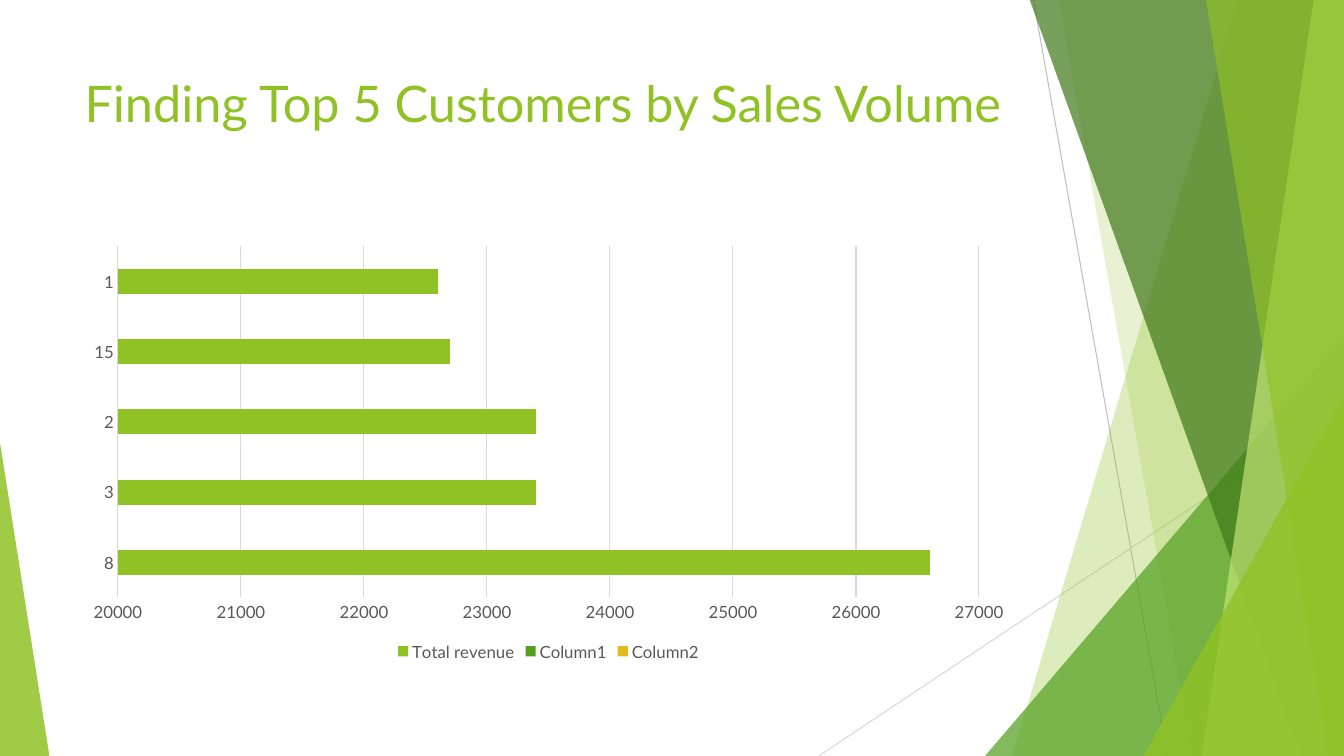
from dataclasses import dataclass

from lxml.etree import SubElement
from pptx import Presentation
from pptx.chart.data import CategoryChartData
from pptx.dml.color import RGBColor
from pptx.enum.chart import XL_CHART_TYPE, XL_LEGEND_POSITION, XL_TICK_MARK
from pptx.enum.shapes import MSO_CONNECTOR, MSO_SHAPE
from pptx.enum.text import MSO_ANCHOR
from pptx.oxml.ns import qn
from pptx.util import Inches, Pt


@dataclass(frozen=True)
class Theme:
    font: str = "Lato"
    lime: str = "90C226"
    green: str = "54A021"
    dark_green: str = "3F7819"
    pale_lime: str = "C0E474"
    gold: str = "E6B91E"
    label: str = "595959"
    grid: str = "D9D9D9"
    ray: str = "BFBFBF"
    title_size: float = 36
    label_size: float = 12
    hairline: float = 0.75


THEME = Theme()
WIDTH, HEIGHT = 13.33, 7.5
TOP = -0.01


def color(value):
    return RGBColor.from_string(value)


def style_shape(shape, fill, opacity):
    """Apply a translucent fill with no outline or shadow."""
    shape.shadow.inherit = False
    shape.fill.solid()
    shape.fill.fore_color.rgb = color(fill)
    shape.line.fill.background()
    solid_color = shape.fill._xPr.find(qn("a:solidFill"))[0]
    SubElement(solid_color, qn("a:alpha"), val=str(opacity * 1000))


def add_ray(slide, start, end, line_color):
    ray = slide.shapes.add_connector(
        MSO_CONNECTOR.STRAIGHT, *(Inches(value) for value in start + end))
    ray.line.color.rgb = color(line_color)
    ray.line.width = Pt(THEME.hairline)
    SubElement(ray._element.spPr, qn("a:effectLst"))


def add_band(slide, top_left, bottom_left, fill, opacity):
    """Draw a full-height band that reaches the right slide edge."""
    corners = [(top_left, TOP), (WIDTH, TOP), (WIDTH, HEIGHT), (bottom_left, HEIGHT)]
    points = [(Inches(x), Inches(y)) for x, y in corners]
    builder = slide.shapes.build_freeform(*points[0])
    builder.add_line_segments(points[1:], close=True)
    style_shape(builder.convert_to_shape(), fill, opacity)


def add_corner(slide, left, top, width, apex, fill, opacity):
    """Draw a triangle standing on the bottom slide edge."""
    triangle = slide.shapes.add_shape(
        MSO_SHAPE.ISOSCELES_TRIANGLE, Inches(left), Inches(top),
        Inches(width), Inches(HEIGHT - top))
    triangle.adjustments[0] = apex
    style_shape(triangle, fill, opacity)


def format_font(font, size, font_color):
    font.name = THEME.font
    font.size = Pt(size)
    font.bold = False
    font.color.rgb = color(font_color)


def add_text(slide, text, *, left, top, width, height, size, font_color):
    box = slide.shapes.add_textbox(
        Inches(left), Inches(top), Inches(width), Inches(height))
    frame = box.text_frame
    frame.word_wrap = True
    frame.vertical_anchor = MSO_ANCHOR.TOP
    run = frame.paragraphs[0].add_run()
    run.text = text
    format_font(run.font, size, font_color)


def format_line(line, line_color):
    line.color.rgb = color(line_color)
    line.width = Pt(THEME.hairline)


def add_revenue_chart(slide, categories, series, *, left, top, width, height):
    data = CategoryChartData()
    data.categories = categories
    for name, values, _ in series:
        data.add_series(name, values)
    chart = slide.shapes.add_chart(
        XL_CHART_TYPE.BAR_STACKED, Inches(left), Inches(top),
        Inches(width), Inches(height), data).chart
    chart.has_title = False
    format_font(chart.font, THEME.label_size, THEME.label)

    # Bars
    plot = chart.plots[0]
    plot.gap_width = 182
    plot.overlap = 100
    plot.vary_by_categories = False
    for bars, (_, _, fill) in zip(plot.series, series):
        bars.invert_if_negative = False
        bars.format.fill.solid()
        bars.format.fill.fore_color.rgb = color(fill)

    # Axes
    for axis in (chart.category_axis, chart.value_axis):
        axis.major_tick_mark = XL_TICK_MARK.NONE
        axis.minor_tick_mark = XL_TICK_MARK.NONE
        format_font(axis.tick_labels.font, THEME.label_size, THEME.label)
    format_line(chart.category_axis.format.line, THEME.grid)
    value_axis = chart.value_axis
    value_axis.minimum_scale = 20000
    value_axis.maximum_scale = 27000
    value_axis.major_unit = 1000
    value_axis.format.line.fill.background()
    format_line(value_axis.major_gridlines.format.line, THEME.grid)

    # Legend
    chart.has_legend = True
    chart.legend.position = XL_LEGEND_POSITION.BOTTOM
    chart.legend.include_in_layout = False
    format_font(chart.legend.font, THEME.label_size, THEME.label)


def add_decoration(slide):
    add_ray(slide, (10.25, 0), (11.58, HEIGHT), THEME.ray)
    add_ray(slide, (WIDTH, 4.03), (8.12, HEIGHT), THEME.grid)
    add_band(slide, 12.28, 10.04, THEME.lime, 30)
    add_band(slide, 10.5, 11.83, THEME.lime, 20)
    add_corner(slide, 9.77, 3.33, 3.56, 1, THEME.green, 72)
    add_band(slide, 10.21, 12.91, THEME.dark_green, 70)
    add_band(slide, 13.03, 11.92, THEME.pale_lime, 70)
    add_band(slide, 11.96, 13.18, THEME.lime, 65)
    add_corner(slide, 11.34, 3.93, 1.99, 1, THEME.lime, 80)
    add_corner(slide, 0, 4.39, 0.49, 0, THEME.lime, 85)


def main():
    presentation = Presentation()
    presentation.slide_width = Inches(WIDTH)
    presentation.slide_height = Inches(HEIGHT)
    slide = presentation.slides.add_slide(presentation.slide_layouts[6])

    # Background facets
    add_decoration(slide)

    # Title
    add_text(slide, "Finding Top 5 Customers by Sales Volume",
             left=0.74, top=0.67, width=9.4, height=1.44,
             size=THEME.title_size, font_color=THEME.lime)

    # Revenue by customer number
    categories = ["8", "3", "2", "15", "1"]
    no_values = [None] * len(categories)
    series = [
        ("Total revenue", [26600, 23400, 23400, 22700, 22600], THEME.lime),
        ("Column1", no_values, THEME.green),
        ("Column2", no_values, THEME.gold),
    ]
    add_revenue_chart(slide, categories, series,
                      left=0.74, top=2.36, width=9.4, height=4.24)

    presentation.save("out.pptx")


if __name__ == "__main__":
    main()
